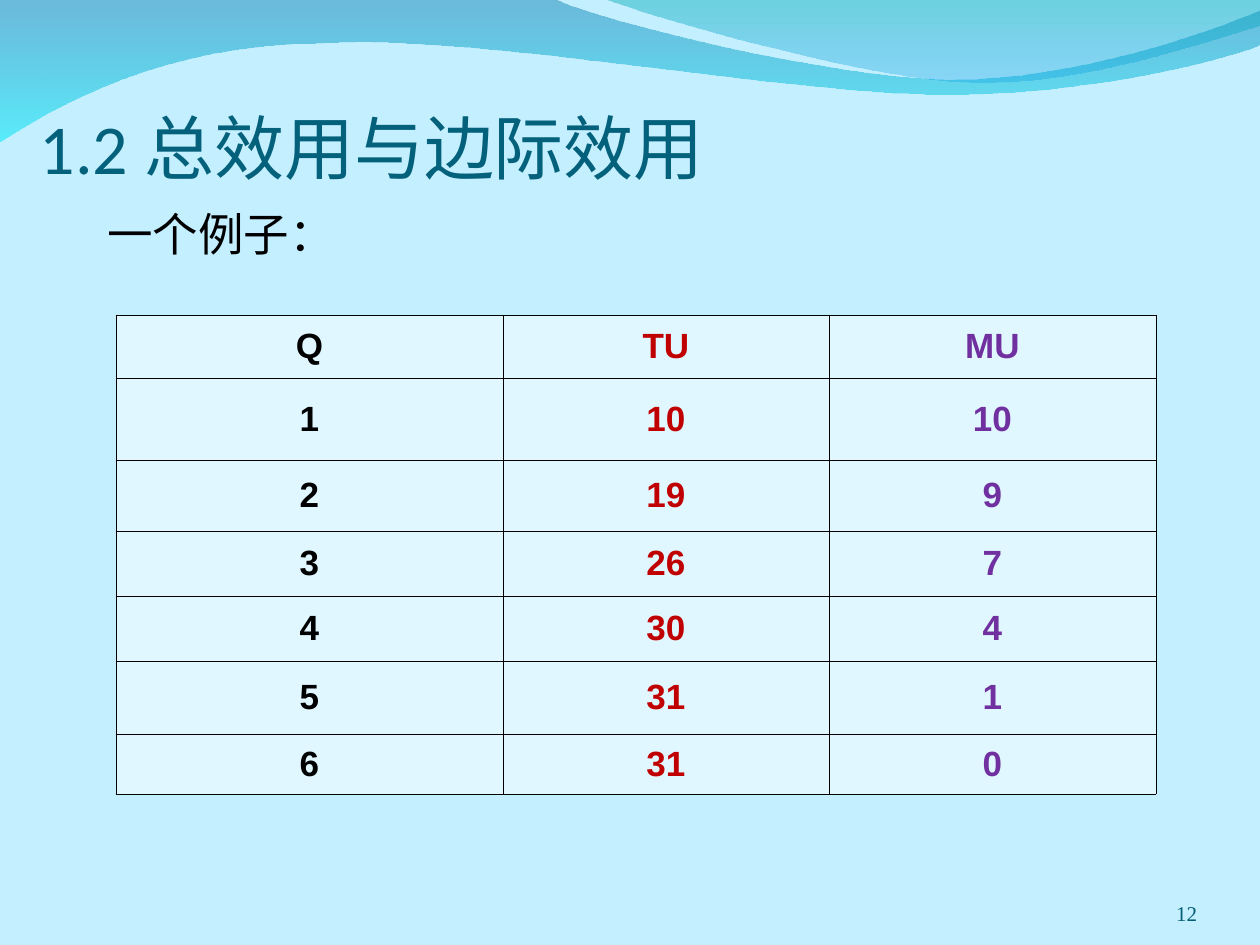
from lxml.etree import SubElement
from pptx import Presentation
from pptx.dml.color import RGBColor
from pptx.enum.text import MSO_ANCHOR as Anchor, PP_ALIGN as Align
from pptx.oxml.ns import qn
from pptx.util import Pt

EMU_PER_PX = 914400 / 126

BACKGROUND = "C4EFFF"
# A segment of three points is a cubic curve, one of a single point is a straight line.
WAVES = [
    {"start": (0, -1),
     "segments": [[(554, -1)],
                  [(600, 21), (837, 79), (955, 79)],
                  [(1075, 79), (1207, 33), (1260, 11)],
                  [(1261, 45)],
                  [(1239, 55), (1096, 96), (940, 94)],
                  [(784, 94), (481, 35), (324, 43)],
                  [(163, 44), (58, 105), (-1, 142)]],
     "stops": [("0079AF", 45), ("00EBF8", 55)]},
    {"start": (604, -1),
     "segments": [[(641, 14), (859, 78), (969, 82)],
                  [(1079, 87), (1211, 40), (1260, 26)],
                  [(1260, 0)]],
     "stops": [("00ADB6", 45), ("009BE5", 30)]},
]

TITLE = "1.2 总效用与边际效用"
SUBTITLE = "一个例子："
PAGE_NUMBER = "12"

HEADER = ["Q", "TU", "MU"]
UTILITY = [(1, 10, 10), (2, 19, 9), (3, 26, 7), (4, 30, 4), (5, 31, 1), (6, 31, 0)]
COLUMN_COLOURS = ["000000", "C00000", "7030A0"]
COLUMN_WIDTHS = [387, 326, 327]
ROW_HEIGHTS = [63, 82, 71, 65, 65, 73, 60]


def px(length):
    return round(length * EMU_PER_PX)


def colour(value):
    return RGBColor.from_string(value)


def set_opacity(fill_element, percents):
    """Give each colour inside a fill its opacity, in order."""
    for element, percent in zip(fill_element.iter(qn("a:srgbClr")), percents):
        SubElement(element, qn("a:alpha"), val=str(percent * 1000))


def style(run, size, font, hex_colour, bold=False):
    run.font.size = Pt(size)
    run.font.name = font
    run.font.bold = bold
    run.font.color.rgb = colour(hex_colour)


def bend_curves(shape, segments):
    """Join the three lines that stand for each cubic segment into one curve."""
    lines = iter(list(shape._element.iter(qn("a:lnTo"))))
    for segment in segments:
        first, *others = [next(lines) for _ in segment]
        if others:
            curve = first.makeelement(qn("a:cubicBezTo"), {})
            first.addprevious(curve)
            for line in (first, *others):
                curve.append(line[0])
                line.getparent().remove(line)


def add_wave(slide, start, segments, stops):
    builder = slide.shapes.build_freeform(px(start[0]), px(start[1]))
    builder.add_line_segments([(px(x), px(y)) for segment in segments for x, y in segment])
    shape = builder.convert_to_shape()
    bend_curves(shape, segments)
    shape.shadow.inherit = False
    shape.line.fill.background()
    shape.fill.gradient()
    shape.fill.gradient_angle = 270
    for stop, (hex_colour, _) in zip(shape.fill.gradient_stops, stops):
        stop.color.rgb = colour(hex_colour)
    gradient = shape._element.spPr.find(qn("a:gradFill"))
    set_opacity(gradient, [opacity for _, opacity in stops])


def add_text(slide, box, text, size, font, hex_colour, anchor=Anchor.TOP,
             align=Align.LEFT, insets=None):
    frame = slide.shapes.add_textbox(*map(px, box)).text_frame
    frame.word_wrap = True
    frame.vertical_anchor = anchor
    if insets:
        (frame.margin_left, frame.margin_top,
         frame.margin_right, frame.margin_bottom) = map(px, insets)
    frame.text = text
    paragraph = frame.paragraphs[0]
    paragraph.alignment = align
    style(paragraph.runs[0], size, font, hex_colour)


def add_borders(cell):
    properties = cell._tc.get_or_add_tcPr()
    for index, side in enumerate(("a:lnL", "a:lnR", "a:lnT", "a:lnB")):
        line = properties.makeelement(qn(side), {"w": str(Pt(0.45))})
        SubElement(SubElement(line, qn("a:solidFill")), qn("a:srgbClr"), val="000000")
        properties.insert(index, line)


def add_utility_table(slide, left, top):
    rows = [HEADER, *UTILITY]
    table = slide.shapes.add_table(len(rows), len(HEADER), px(left), px(top),
                                   px(sum(COLUMN_WIDTHS)), px(sum(ROW_HEIGHTS))).table
    for column, width in zip(table.columns, COLUMN_WIDTHS):
        column.width = px(width)
    for row, height, values in zip(table.rows, ROW_HEIGHTS, rows):
        row.height = px(height)
        for cell, value, hex_colour in zip(row.cells, values, COLUMN_COLOURS):
            cell.text = str(value)
            cell.vertical_anchor = Anchor.MIDDLE
            cell.fill.solid()
            cell.fill.fore_color.rgb = colour("FFFFFF")
            set_opacity(cell._tc.tcPr, [50])
            add_borders(cell)
            paragraph = cell.text_frame.paragraphs[0]
            paragraph.alignment = Align.CENTER
            style(paragraph.runs[0], 20, "Arial", hex_colour, bold=True)


def main():
    presentation = Presentation()
    presentation.slide_width, presentation.slide_height = px(1260), px(945)
    slide = presentation.slides.add_slide(presentation.slide_layouts[6])
    slide.background.fill.solid()
    slide.background.fill.fore_color.rgb = colour(BACKGROUND)

    for wave in WAVES:
        add_wave(slide, **wave)
    add_text(slide, (40, 119, 1137, 69), TITLE, 40, "Calibri", "04617B",
             Anchor.BOTTOM, insets=(0, 6, 0, 0))
    add_text(slide, (95, 200, 525, 583), SUBTITLE, 26, "TeX Gyre Pagella", "000000")
    add_utility_table(slide, 116, 315)
    add_text(slide, (1092, 876, 105, 50), PAGE_NUMBER, 12, "Times New Roman",
             "045C75", Anchor.BOTTOM, Align.RIGHT, insets=(0, 0, 0, 0))
    presentation.save("out.pptx")


if __name__ == "__main__":
    main()
